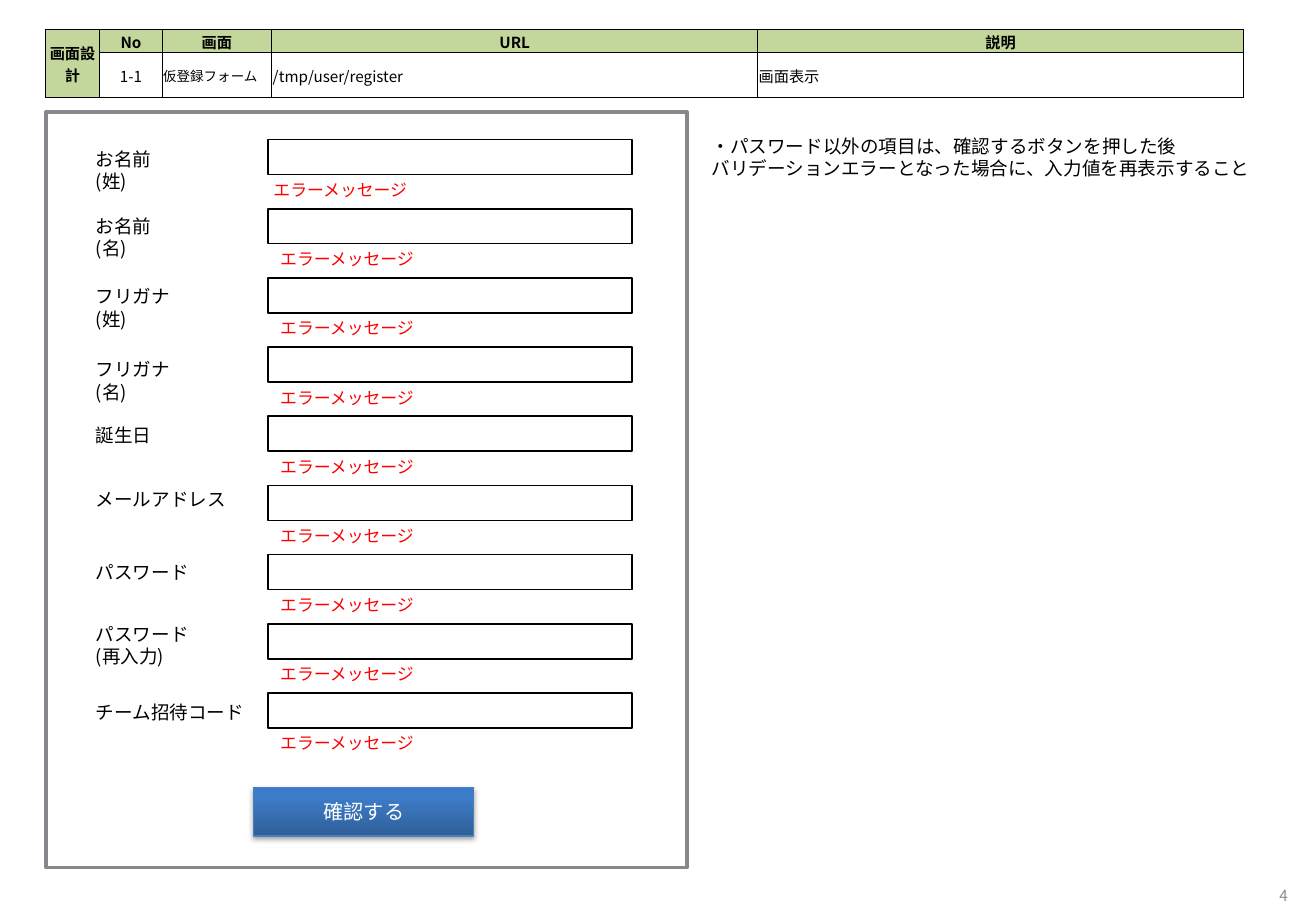
from lxml import etree
from pptx import Presentation
from pptx import util as u
from pptx.dml import color
from pptx.enum import shapes, text
from pptx.oxml import ns

Pt = u.Pt


class Theme:
    font, page_font = "Noto Sans CJK JP", "Noto Sans CJK KR"
    ink, paper, error = "000000", "FFFFFF", "FF0000"
    head, frame, page = "C3D69B", "85888D", "8C8C8C"
    edge = "4B7EBC"
    blend = [(0, "2F5F99"), (80, "3D7CC7"), (100, "3A7CCB")]
    small, cell, alert, body, button = 8, 9, 10, 11, 12


def write(frame, words, size=Theme.body, ink=Theme.ink, font=Theme.font,
          bold=False, align="LEFT", anchor="TOP"):
    frame.word_wrap = True
    frame.vertical_anchor = getattr(text.MSO_ANCHOR, anchor)
    for i, line in enumerate(words.split("\n")):
        para = frame.add_paragraph() if i else frame.paragraphs[0]
        para.alignment = getattr(text.PP_ALIGN, align)
        run = para.add_run()
        run.text = line
        run.font.size, run.font.bold, run.font.name = Pt(size), bold, font
        run.font.color.rgb = color.RGBColor.from_string(ink)
        east = etree.SubElement(run._r.get_or_add_rPr(), ns.qn("a:ea"))
        east.set("typeface", font)


def draw(left, top, width, height, line, weight, fill=None):
    box = slide.shapes.add_shape(shapes.MSO_SHAPE.RECTANGLE, Pt(left), Pt(top),
                                 Pt(width), Pt(height))
    box.shadow.inherit = False
    box.line.color.rgb = color.RGBColor.from_string(line)
    box.line.width = Pt(weight)
    if fill:
        box.fill.solid()
        box.fill.fore_color.rgb = color.RGBColor.from_string(fill)
    else:
        box.fill.background()
    return box


deck = Presentation()
deck.slide_width, deck.slide_height = Pt(780), Pt(540)
slide = deck.slides.add_slide(deck.slide_layouts[6])

# Header table
rows = [["画面設計", "No", "画面", "URL", "説明"],
        ["", "1-1", "仮登録フォーム", "/tmp/user/register", "画面表示"]]
widths, heights = [32.4, 36.9, 65, 288, 288], [9.5, 14.5]
table = slide.shapes.add_table(2, 5, Pt(26.8), Pt(17.4), Pt(sum(widths)),
                               Pt(sum(heights))).table
table.first_row = table.horz_banding = False
for col, width in zip(table.columns, widths):
    col.width = Pt(width)
for row, height in zip(table.rows, heights):
    row.height = Pt(height)
table.cell(0, 0).merge(table.cell(1, 0))
for r, row in enumerate(rows):
    for c, words in enumerate(row):
        cell = table.cell(r, c)
        cell.margin_left = cell.margin_right = cell.margin_top = Pt(0.6)
        cell.margin_bottom = 0
        for side in ("lnL", "lnR", "lnT", "lnB"):
            edge = etree.SubElement(cell._tc.get_or_add_tcPr(),
                                    ns.qn("a:" + side), w=str(Pt(0.5)))
            paint = etree.SubElement(edge, ns.qn("a:solidFill"))
            etree.SubElement(paint, ns.qn("a:srgbClr"), val=Theme.ink)
        if r == 0 or c == 0:
            cell.fill.solid()
            cell.fill.fore_color.rgb = color.RGBColor.from_string(Theme.head)
        else:
            cell.fill.background()
        cell.vertical_anchor = text.MSO_ANCHOR.MIDDLE
        write(cell.text_frame, words, bold=r == 0, anchor="MIDDLE",
              size=Theme.small if (r, c) == (1, 2) else Theme.cell,
              align="CENTER" if r == 0 or c < 2 else "LEFT")

# Page number
page = slide.shapes.add_textbox(Pt(724.3), Pt(525), Pt(46), Pt(11.5))
write(page.text_frame, "4", size=Theme.cell, ink=Theme.page,
      font=Theme.page_font, align="RIGHT", anchor="MIDDLE")

# Form frame
draw(27.2, 66.3, 380, 448, Theme.frame, 2)

# Form rows: label, label top, label width, label height
fields = [("お名前\n(姓)", 84.2, 69, 21), ("お名前\n(名)", 123.8, 69, 21),
          ("フリガナ\n(姓)", 165.6, 80, 21), ("フリガナ\n(名)", 208.8, 80, 21),
          ("誕生日", 247.7, 48, 21), ("メールアドレス", 285.8, 93, 21),
          ("パスワード", 329, 70, 21), ("パスワード\n(再入力)", 365.8, 70, 34),
          ("チーム招待コード", 411.8, 104, 21)]
for i, (label, top, width, height) in enumerate(fields):
    name = slide.shapes.add_textbox(Pt(49.7), Pt(top), Pt(width), Pt(height))
    write(name.text_frame, label)
    draw(159, 82.8 + 41 * i, 215.5, 20.7, Theme.ink, 1, Theme.paper)
    alert = slide.shapes.add_textbox(Pt(159 if i else 155), Pt(103 + 41 * i),
                                     Pt(96), Pt(19.4))
    write(alert.text_frame, "エラーメッセージ", size=Theme.alert, ink=Theme.error)

# Confirm button with gradient and soft shadow
button = draw(150.4, 466.6, 130.5, 29, Theme.edge, 0.75)
button.fill.gradient()
button.fill.gradient_angle = 90
stops = button.element.spPr.find(".//" + ns.qn("a:gsLst"))
for stop in list(stops):
    stops.remove(stop)
for place, tint in Theme.blend:
    stop = etree.SubElement(stops, ns.qn("a:gs"), pos=str(place * 1000))
    etree.SubElement(stop, ns.qn("a:srgbClr"), val=tint)
effect = button.element.spPr.find(ns.qn("a:effectLst"))
shade = etree.SubElement(effect, ns.qn("a:outerShdw"), blurRad=str(Pt(3.1)),
                         dist=str(Pt(1.8)), dir="5400000", rotWithShape="0")
tint = etree.SubElement(shade, ns.qn("a:srgbClr"), val=Theme.ink)
etree.SubElement(tint, ns.qn("a:alpha"), val="35000")
write(button.text_frame, "確認する", size=Theme.button, ink=Theme.paper,
      align="CENTER", anchor="MIDDLE")

# Note beside the form
note = slide.shapes.add_textbox(Pt(414.7), Pt(76.3), Pt(338), Pt(34))
write(note.text_frame, "・パスワード以外の項目は、確認するボタンを押した後\n"
      "バリデーションエラーとなった場合に、入力値を再表示すること")

deck.save("out.pptx")
